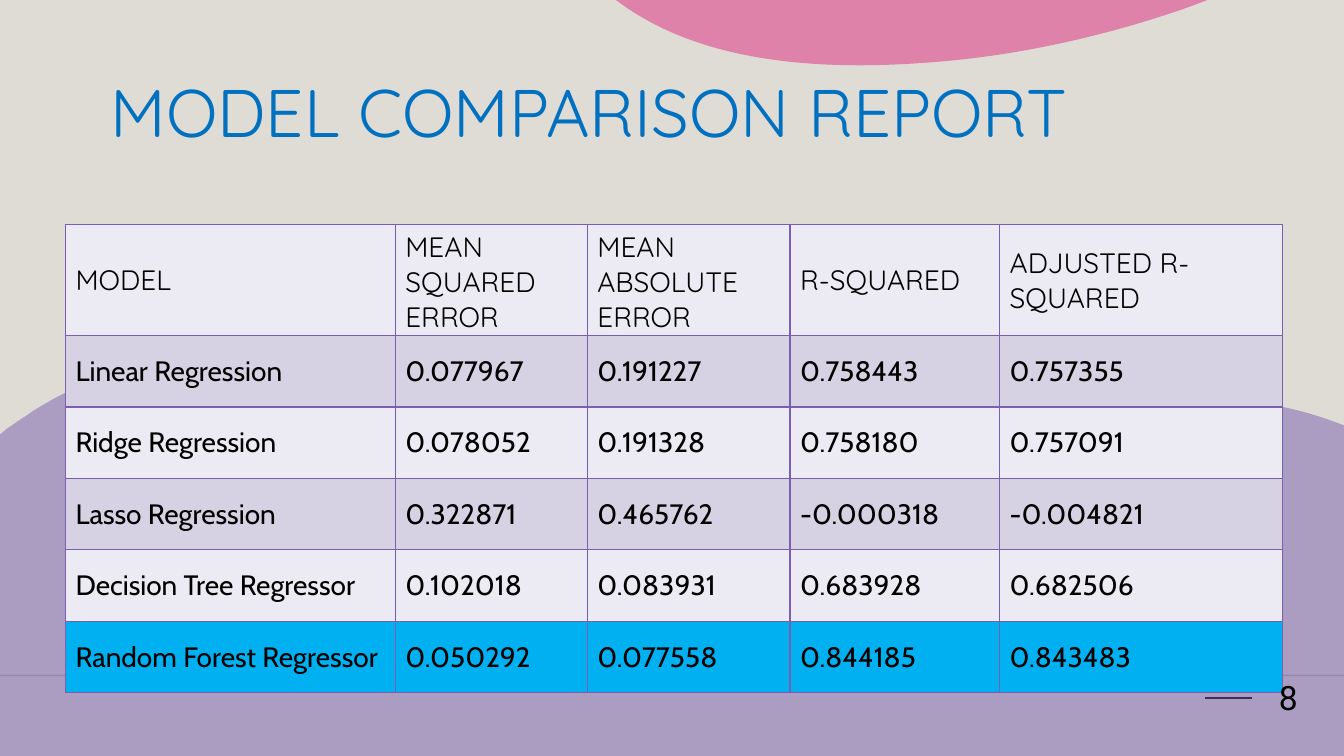
import lxml.etree
import pptx
import pptx.dml.color
import pptx.enum.shapes
import pptx.enum.text
import pptx.oxml
import pptx.oxml.ns
import pptx.util
from pptx.util import Cm

PAGE = (0, 0, 33.87, 19.05)
PURPLE, PINK, BLUE, BLACK = "795FAF", "DE478E", "0070C0", "000000"
HEADER_FILL, BANDS, BEST_FILL = "ECEAF2", ("D7D2E3", "ECEAF2"), "00B0F0"

# A pair is the end of a straight side; six numbers are a Bézier segment.
WAVE = [
    (5.13, 9.09),
    (5.99, 9.12, 6.86, 9.3, 7.72, 9.63),
    (8.48, 9.91, 9.14, 10.36, 9.8, 10.8),
    (11.25, 11.73, 12.83, 12.45, 14.66, 12.7),
    (16.18, 12.93, 17.73, 12.78, 19.28, 12.4),
    (21.01, 11.99, 22.02, 11.61, 23.06, 11.25),
    (24.08, 10.9, 29.49, 9.07, 33.66, 10.64),
    (33.87, 10.72), (33.87, 19.05), (0, 19.05), (0, 10.95), (0.18, 10.8),
    (0.41, 10.64, 0.64, 10.49, 0.86, 10.34),
    (2.29, 9.45, 3.71, 9.04, 5.13, 9.09),
]
BLOB = [
    (0, 0), (14.91, 0), (14.38, 0.2),
    (11.3, 1.27, 8.89, 1.5, 7.95, 1.57),
    (3.68, 1.91, 1.52, 1.04, 0.25, 0.18),
]

COLUMN_WIDTHS = [8.31, 4.84, 5.11, 5.28, 7.13]
ROW_HEIGHT = 1.8
ROWS = [
    ("MODEL", "MEAN SQUARED ERROR", "MEAN ABSOLUTE ERROR", "R-SQUARED", "ADJUSTED R-SQUARED"),
    ("Linear Regression", "0.077967", "0.191227", "0.758443", "0.757355"),
    ("Ridge Regression", "0.078052", "0.191328", "0.758180", "0.757091"),
    ("Lasso Regression", "0.322871", "0.465762", "-0.000318", "-0.004821"),
    ("Decision Tree Regressor", "0.102018", "0.083931", "0.683928", "0.682506"),
    ("Random Forest Regressor", "0.050292", "0.077558", "0.844185", "0.843483"),
]


def rgb(color):
    return pptx.dml.color.RGBColor.from_string(color)


def set_alpha(sp_pr, percent):
    """Make the colour of a shape's fill or a connector's line transparent."""
    clr = next(sp_pr.iter(pptx.oxml.ns.qn("a:srgbClr")))
    alpha = lxml.etree.SubElement(clr, pptx.oxml.ns.qn("a:alpha"))
    alpha.set("val", str(percent * 1000))


def style_text(p, text, font, size, color):
    p.text = text
    p.font.name = font
    p.font.size = pptx.util.Pt(size)
    p.font.color.rgb = rgb(color)


def add_curved_shape(s, left, top, outline, color, opacity):
    """Draw the corners as a freeform, then bend its Bézier sides."""
    corners = [(Cm(left + part[-2]), Cm(top + part[-1])) for part in outline]
    builder = s.shapes.build_freeform(*corners[0])
    builder.add_line_segments(corners[1:], close=True)
    sp = builder.convert_to_shape()
    sides = list(sp._element.iter(pptx.oxml.ns.qn("a:lnTo")))
    for side, part in zip(sides, outline[1:]):
        if len(part) == 6:
            side.tag = pptx.oxml.ns.qn("a:cubicBezTo")
            for i, (x, y) in enumerate((part[:2], part[2:4])):
                pt = lxml.etree.Element(pptx.oxml.ns.qn("a:pt"))
                pt.set("x", str(Cm(left + x) - sp.left))
                pt.set("y", str(Cm(top + y) - sp.top))
                side.insert(i, pt)
    sp.shadow.inherit = False
    sp.line.fill.background()
    sp.fill.solid()
    sp.fill.fore_color.rgb = rgb(color)
    set_alpha(sp._element.spPr, opacity)


def add_rule(s, left, top, width, points, opacity=100):
    rule = s.shapes.add_connector(
        pptx.enum.shapes.MSO_CONNECTOR.STRAIGHT,
        Cm(left), Cm(top), Cm(left + width), Cm(top))
    rule.line.color.rgb = rgb(BLACK)
    rule.line.width = pptx.util.Pt(points)
    sp_pr = rule._element.spPr
    set_alpha(sp_pr, opacity)
    lxml.etree.SubElement(sp_pr, pptx.oxml.ns.qn("a:effectLst"))


def add_background(s, left, top, width, height):
    s.background.fill.solid()
    s.background.fill.fore_color.rgb = rgb("DFDBD5")
    add_rule(s, left, top + height - 2.03, width, 1, 20)
    add_rule(s, left + width - 3.49, top + height - 1.47, 1.17, 1.25)
    add_curved_shape(s, left, top, WAVE, PURPLE, 50)
    add_curved_shape(s, left + 15.52, top, BLOB, PINK, 60)


def add_label(s, box, text, font, size, color, anchor, align, spacing=1.0):
    tf = s.shapes.add_textbox(*map(Cm, box)).text_frame
    tf.word_wrap = True
    tf.vertical_anchor = anchor
    p = tf.paragraphs[0]
    style_text(p, text, font, size, color)
    p.alignment = align
    p.line_spacing = spacing


def set_borders(cell, color, points):
    tc_pr = cell._tc.get_or_add_tcPr()
    for i, side in enumerate(("lnL", "lnR", "lnT", "lnB")):
        tc_pr.insert(i, pptx.oxml.parse_xml(
            f'<a:{side} {pptx.oxml.ns.nsdecls("a")} w="{points * 12700}">'
            f'<a:solidFill><a:srgbClr val="{color}"/></a:solidFill></a:{side}>'))


def add_comparison_table(s, left, top):
    table = s.shapes.add_table(
        len(ROWS), len(COLUMN_WIDTHS), Cm(left), Cm(top),
        Cm(sum(COLUMN_WIDTHS)), Cm(ROW_HEIGHT * len(ROWS))).table
    for column, width in zip(table.columns, COLUMN_WIDTHS):
        column.width = Cm(width)
    for i, (row, values) in enumerate(zip(table.rows, ROWS)):
        row.height = Cm(ROW_HEIGHT)
        if i == 0:
            fill, font = HEADER_FILL, "Quicksand"
        else:
            fill, font = BANDS[(i - 1) % 2], "Cabin"
        if i == len(ROWS) - 1:
            fill = BEST_FILL
        for cell, text in zip(row.cells, values):
            cell.fill.solid()
            cell.fill.fore_color.rgb = rgb(fill)
            cell.vertical_anchor = pptx.enum.text.MSO_ANCHOR.MIDDLE
            p = cell.text_frame.paragraphs[0]
            style_text(p, text, font, 20, BLACK)
            p.font.bold = False
            set_borders(cell, PURPLE, 1)


def main():
    prs = pptx.Presentation()
    prs.slide_width, prs.slide_height = Cm(PAGE[2]), Cm(PAGE[3])
    s = prs.slides.add_slide(prs.slide_layouts[6])
    anchors, aligns = pptx.enum.text.MSO_ANCHOR, pptx.enum.text.PP_ALIGN
    add_background(s, *PAGE)
    add_label(s, (2.54, 1.37, 28.78, 2.59), "MODEL COMPARISON REPORT",
              "Quicksand", 48, BLUE, anchors.BOTTOM, aligns.LEFT, 0.9)
    add_comparison_table(s, 1.65, 5.66)
    add_label(s, (31.55, 16.33, 1.83, 2.49), "8",
              "Roboto", 24, BLACK, anchors.MIDDLE, aligns.CENTER)
    prs.save("out.pptx")


if __name__ == "__main__":
    main()
